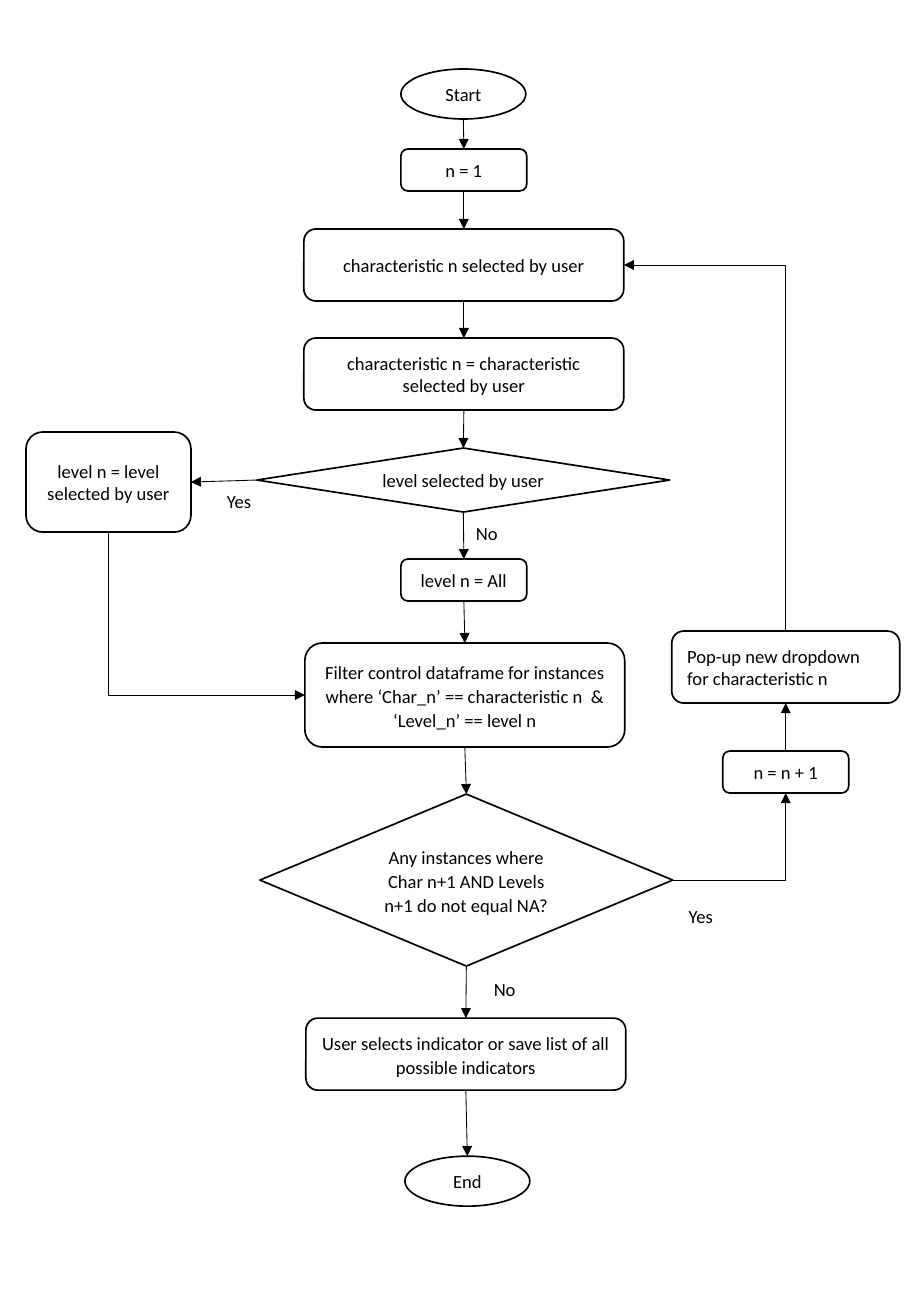
import pptx
import pptx.dml.color
import pptx.enum.shapes
import pptx.enum.text
import pptx.oxml.ns
import pptx.util
from lxml import etree

SHAPE = pptx.enum.shapes.MSO_SHAPE
CONNECTOR = pptx.enum.shapes.MSO_CONNECTOR
ALIGN = pptx.enum.text.PP_ALIGN
ANCHOR = pptx.enum.text.MSO_ANCHOR

PIXEL = 914400 / 121.5
FONT = "Calibri"
COLOURS = {"ink": "000000", "paper": "FFFFFF"}
TOP, LEFT, BOTTOM, RIGHT = range(4)

# Sizes in pixels, by kind of step
OVAL = (SHAPE.OVAL, 125, 50)
SMALL = (SHAPE.ROUNDED_RECTANGLE, 126, 42)
WIDE = (SHAPE.ROUNDED_RECTANGLE, 320, 72)
POPUP = (SHAPE.ROUNDED_RECTANGLE, 228, 72)
LEVEL = (SHAPE.ROUNDED_RECTANGLE, 165, 100)
FILTER = (SHAPE.ROUNDED_RECTANGLE, 320, 104)
FLAT_DIAMOND = (SHAPE.DIAMOND, 413, 64)
TALL_DIAMOND = (SHAPE.DIAMOND, 413, 172)
LABEL_SIZE = (55, 51)

LOOSE = {"line_spacing": 1.07}
SPACED = {"line_spacing": 1.07, "space_after": 8}

# Steps: name -> kind, left, top, paragraphs, text format
STEPS = {
    "start": (OVAL, 401, 69, ["Start"], {}),
    "first": (SMALL, 401, 149, ["n = 1"], {}),
    "select": (WIDE, 304, 229, ["characteristic n selected by user"], {}),
    "assign": (WIDE, 304, 338,
               ["characteristic n = characteristic selected by user"], {}),
    "level chosen": (FLAT_DIAMOND, 257, 448, ["level selected by user"], {}),
    "level user": (LEVEL, 26, 432, ["level n = level selected by user"], {}),
    "level all": (SMALL, 401, 559, ["level n = All"], {}),
    "filter": (FILTER, 305, 643,
               ["Filter control dataframe for instances where "
                "‘Char_n’ == characteristic n  &",
                "‘Level_n’ == level n"], LOOSE),
    "any left": (TALL_DIAMOND, 260, 794,
                 ["Any instances where Char n+1 AND Levels n+1 do not equal NA?"],
                 SPACED),
    "next": (SMALL, 723, 751, ["n = n + 1"], {}),
    "popup": (POPUP, 672, 631, ["Pop-up new dropdown for characteristic n"],
              {"align": ALIGN.LEFT}),
    "indicator": (WIDE, 306, 1018,
                  ["User selects indicator or save list of all possible indicators"],
                  SPACED),
    "end": (OVAL, 405, 1156, ["End"], {}),
}

# Branch labels: text, left, top
LABELS = [("Yes", 215, 482), ("No", 464, 514), ("Yes", 677, 897), ("No", 482, 970)]

# Straight arrows: step, side, next step, side
MAIN_FLOW = ["start", "first", "select", "assign", "level chosen", "level all",
             "filter", "any left", "indicator", "end"]
ARROWS = [(step, BOTTOM, after, TOP) for step, after in zip(MAIN_FLOW, MAIN_FLOW[1:])]
ARROWS += [("level chosen", LEFT, "level user", RIGHT), ("next", TOP, "popup", BOTTOM)]

# Bent arrows run sideways first, then up or down; the last item is the arrow's end
BENDS = [
    ("filter", LEFT, "level user", BOTTOM, "headEnd"),
    ("any left", RIGHT, "next", BOTTOM, "tailEnd"),
    ("select", RIGHT, "popup", TOP, "headEnd"),
]


def px(value):
    return pptx.util.Emu(round(value * PIXEL))


def colour(name):
    return pptx.dml.color.RGBColor.from_string(COLOURS[name])


def write(frame, paragraphs, align=ALIGN.CENTER, anchor=ANCHOR.MIDDLE,
          line_spacing=None, space_after=0):
    frame.word_wrap = True
    frame.vertical_anchor = anchor
    for index, text in enumerate(paragraphs):
        para = frame.paragraphs[0] if index == 0 else frame.add_paragraph()
        para.alignment = align
        para.line_spacing = line_spacing
        para.space_after = pptx.util.Pt(space_after)
        span = para.add_run()
        span.text = text
        span.font.name = FONT
        span.font.size = pptx.util.Pt(11)
        span.font.color.rgb = colour("ink")


def side_point(box, side):
    return {
        TOP: (box.left + box.width // 2, box.top),
        LEFT: (box.left, box.top + box.height // 2),
        BOTTOM: (box.left + box.width // 2, box.top + box.height),
        RIGHT: (box.left + box.width, box.top + box.height // 2),
    }[side]


def connect(kind, begin, begin_side, end, end_side, arrow="tailEnd"):
    line = page.shapes.add_connector(
        kind, *side_point(begin, begin_side), *side_point(end, end_side))
    # An oval numbers its sides differently, so only its top is attached
    if begin.auto_shape_type != SHAPE.OVAL:
        line.begin_connect(begin, begin_side)
    line.end_connect(end, end_side)
    line.line.color.rgb = colour("ink")
    line.line.width = pptx.util.Pt(0.5)
    properties = line._element.spPr
    tip = etree.SubElement(line.line._get_or_add_ln(), pptx.oxml.ns.qn(f"a:{arrow}"))
    tip.set("type", "triangle")
    etree.SubElement(properties, pptx.oxml.ns.qn("a:effectLst"))
    if kind == CONNECTOR.ELBOW:
        properties.find(pptx.oxml.ns.qn("a:prstGeom")).set("prst", "bentConnector2")


deck = pptx.Presentation()
deck.slide_width = pptx.util.Inches(7.5)
deck.slide_height = pptx.util.Inches(10.83)
page = deck.slides.add_slide(deck.slide_layouts[6])

# Steps
boxes = {}
for name, ((shape_kind, width, height), left, top, paragraphs, style) in STEPS.items():
    box = page.shapes.add_shape(shape_kind, px(left), px(top), px(width), px(height))
    box.shadow.inherit = False
    box.fill.solid()
    box.fill.fore_color.rgb = colour("paper")
    box.line.color.rgb = colour("ink")
    box.line.width = pptx.util.Pt(1)
    write(box.text_frame, paragraphs, **style)
    boxes[name] = box

# Branch labels
for text, left, top in LABELS:
    label = page.shapes.add_textbox(px(left), px(top), *map(px, LABEL_SIZE))
    write(label.text_frame, [text], align=ALIGN.LEFT, anchor=ANCHOR.TOP, **SPACED)

# Arrows
for begin, begin_side, end, end_side in ARROWS:
    connect(CONNECTOR.STRAIGHT, boxes[begin], begin_side, boxes[end], end_side)
for begin, begin_side, end, end_side, arrow in BENDS:
    connect(CONNECTOR.ELBOW, boxes[begin], begin_side, boxes[end], end_side, arrow)

deck.save("out.pptx")
